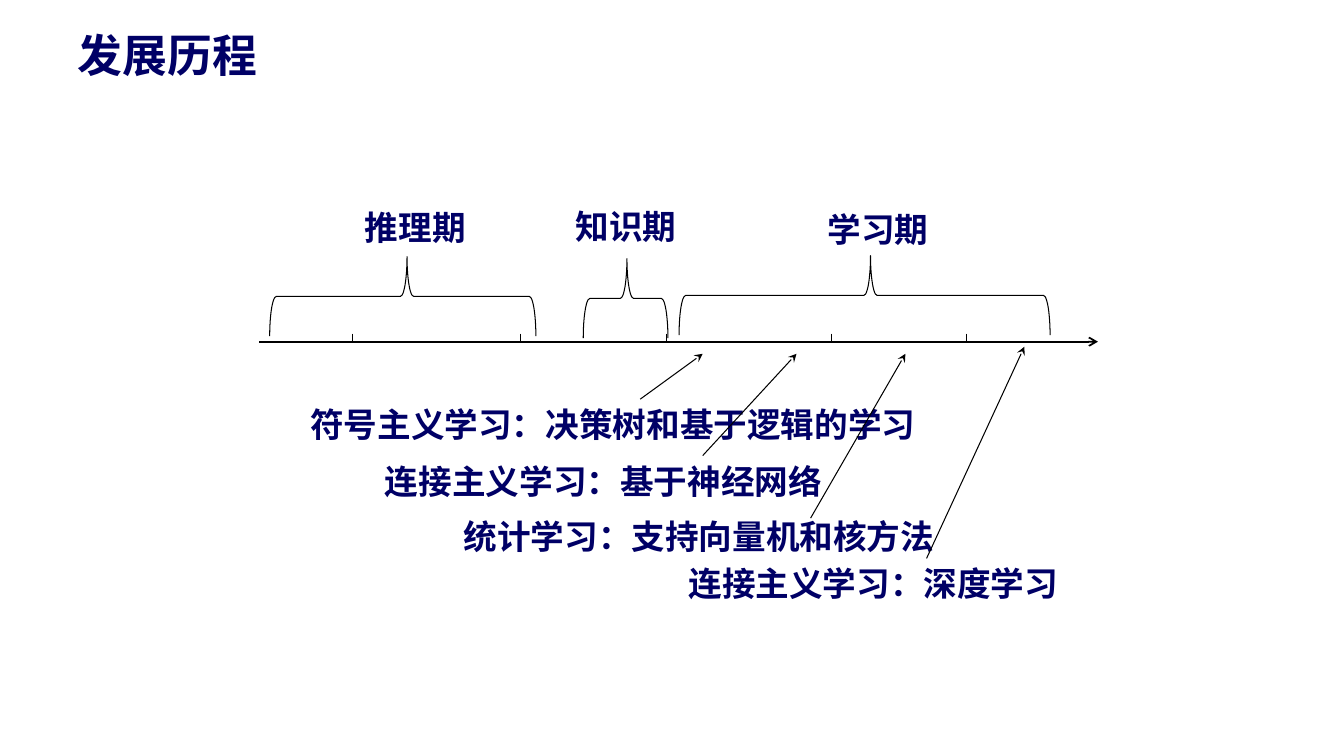
import pptx
import pptx.dml.color
import pptx.enum.shapes
import pptx.enum.text
import pptx.oxml
import pptx.oxml.ns
import pptx.util
from lxml import etree

NAVY = pptx.dml.color.RGBColor(0x00, 0x00, 0x66)
BLACK = pptx.dml.color.RGBColor(0x00, 0x00, 0x00)
WHITE = pptx.dml.color.RGBColor(0xFF, 0xFF, 0xFF)
COLUMNS, ROWS = 133.3, 75
AXIS_ROW = 33.9


def write(frame, text, size=24, font="Arial", color=NAVY, bold=True, wrap=True,
          anchor=pptx.enum.text.MSO_ANCHOR.TOP,
          fit=pptx.enum.text.MSO_AUTO_SIZE.SHAPE_TO_FIT_TEXT):
    frame.word_wrap = wrap
    frame.auto_size = fit
    frame.vertical_anchor = anchor
    paragraph = frame.paragraphs[0]
    paragraph.alignment = pptx.enum.text.PP_ALIGN.LEFT
    run = paragraph.add_run()
    run.text = text
    run.font.size = pptx.util.Pt(size)
    run.font.name = font
    run.font.bold = bold
    run.font.color.rgb = color


class TimelineSlide:
    def __init__(self, deck):
        self.column = deck.slide_width / COLUMNS
        self.row = deck.slide_height / ROWS
        self.slide = deck.slides.add_slide(deck.slide_layouts[5])
        self.slide.background.fill.solid()
        self.slide.background.fill.fore_color.rgb = WHITE

    def place(self, column, row):
        return round(column * self.column), round(row * self.row)

    def title(self, text, column, row, columns, rows):
        heading = self.slide.shapes.title
        heading.left, heading.top = self.place(column, row)
        heading.width, heading.height = self.place(columns, rows)
        write(heading.text_frame, text, size=32,
              anchor=pptx.enum.text.MSO_ANCHOR.MIDDLE,
              fit=pptx.enum.text.MSO_AUTO_SIZE.NONE)

    def label(self, text, column, row, columns, wrap=True):
        box = self.slide.shapes.add_textbox(
            *self.place(column, row), *self.place(columns, 5))
        write(box.text_frame, text, wrap=wrap)

    def line(self, start, end, weight=0.75, head=None):
        stroke = self.slide.shapes.add_connector(
            pptx.enum.shapes.MSO_CONNECTOR.STRAIGHT,
            *self.place(*start), *self.place(*end))
        stroke.line.color.rgb = BLACK
        stroke.line.width = pptx.util.Pt(weight)
        if head:
            tail = etree.SubElement(stroke.line._get_or_add_ln(),
                                    pptx.oxml.ns.qn("a:tailEnd"))
            tail.set("type", head)
        etree.SubElement(stroke._element.spPr, pptx.oxml.ns.qn("a:effectLst"))

    def brace(self, column, row, columns, depth=7.9):
        center, middle = self.place(column + columns / 2, row + depth / 2)
        width, height = self.place(depth, columns)
        period = self.slide.shapes.add_shape(
            pptx.enum.shapes.MSO_SHAPE.RIGHT_BRACE,
            center - width // 2, middle - height // 2, width, height)
        period.rotation = 270
        period.adjustments[0] = 0.083
        period.adjustments[1] = 0.516
        period.shadow.inherit = False
        period.fill.background()
        period.line.color.rgb = BLACK
        period.line.width = pptx.util.Pt(0.75)


def main():
    deck = pptx.Presentation()
    deck.slide_width = pptx.util.Inches(13.33)
    deck.slide_height = pptx.util.Inches(7.5)
    timeline = TimelineSlide(deck)
    timeline.title("发展历程", 6.7, 2.5, 56.7, 5.8)

    timeline.line((25.7, AXIS_ROW), (108.9, AXIS_ROW), weight=1.25, head="arrow")
    for tick in (35, 51.6, 66.1, 82.5, 95.9):
        timeline.line((tick, AXIS_ROW - 0.8), (tick, AXIS_ROW))

    periods = (
        ("推理期", (35.2, 20), (26.75, 25.45, 26.4)),
        ("知识期", (56.1, 19.9), (57.85, 25.65, 8.4)),
        ("学习期", (81.1, 20.2), (67.35, 25.35, 36.8)),
    )
    for period, corner, span in periods:
        timeline.brace(*span)
        timeline.label(period, *corner, 12.1, wrap=False)

    schools = (
        ("符号主义学习：决策树和基于逻辑的学习", (29.8, 39.6, 64.4), (63.5, 39.6), (69.7, 35.1)),
        ("连接主义学习：基于神经网络", (37.2, 45.2, 46.3), (69.7, 45.2), (79, 35.1)),
        ("统计学习：支持向量机和核方法", (45, 50.7, 51.7), (80.4, 51.4), (89.8, 35.1)),
        ("连接主义学习：深度学习", (67.3, 55.4, 42.7), (91.9, 55.4), (101.6, 34.4)),
    )
    for school, area, start, end in schools:
        timeline.line(start, end, head="stealth")
        timeline.label(school, *area)

    deck.save("out.pptx")


if __name__ == "__main__":
    main()
